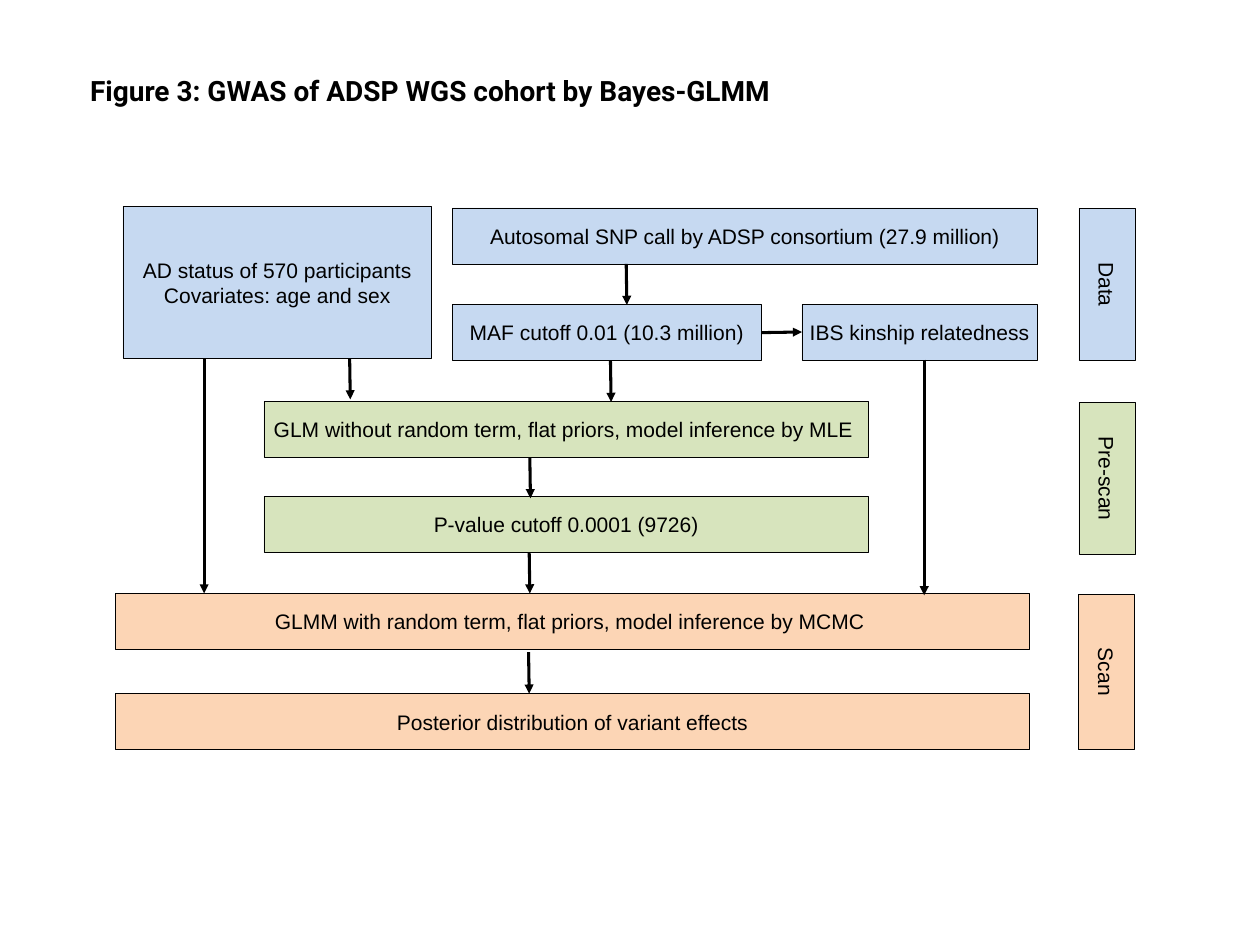
from lxml import etree
from pptx import Presentation
from pptx import util as u
from pptx.dml.color import RGBColor
from pptx.enum import shapes, text
from pptx.oxml.ns import qn

COLORS = {"data": "C6D9F1", "prescan": "D7E4BD", "scan": "FCD5B5", "ink": "000000"}
COLUMNS, ROWS = 20, 15
BAR = 0.89
LEVELS = [3.3, 4.83, 6.37, 7.88, 9.42, 11.01]

STEPS = [
    ("data", 7.18, LEVELS[0], 9.28, BAR, ["Autosomal SNP call by ADSP consortium (27.9 million)"]),
    ("data", 7.18, LEVELS[1], 4.9, BAR, ["MAF cutoff 0.01 (10.3 million)"]),
    ("data", 1.95, 3.27, 4.9, 2.42, ["AD status of 570 participants", "Covariates: age and sex"]),
    ("data", 12.73, LEVELS[1], 3.73, BAR, ["IBS kinship relatedness"]),
    ("prescan", 4.19, LEVELS[2], 9.59, BAR,
     ["GLM without random term, flat priors, model inference by MLE "]),
    ("prescan", 4.19, LEVELS[3], 9.59, BAR, ["P-value cutoff 0.0001 (9726)"]),
    ("scan", 1.83, LEVELS[4], 14.51, BAR,
     ["GLMM with random term, flat priors, model inference by MCMC "]),
    ("scan", 1.83, LEVELS[5], 14.51, BAR, ["Posterior distribution of variant effects"]),
]
ARROWS = [
    (12.08, 5.28, 12.73, 5.27),
    (9.94, 4.19, 9.95, 4.84),
    (5.55, 5.69, 5.56, 6.34),
    (9.69, 5.72, 9.7, 6.38),
    (8.41, 7.26, 8.42, 7.91),
    (3.24, 5.69, 3.24, 9.42),
    (8.4, 8.77, 8.41, 9.42),
    (14.67, 5.71, 14.67, 9.45),
    (8.39, 10.35, 8.4, 11.01),
]
STAGES = [
    ("data", 16.36, 4.07, 2.42, "Data"),
    ("prescan", 16.36, 7.15, 2.42, "Pre-scan"),
    ("scan", 16.33, 10.22, 2.47, "Scan"),
]


class FlowSlide:
    """Draws flowchart elements on one slide, placed by grid columns and rows."""

    label = {"name": "Arial", "size": u.Pt(24)}
    heading = {"name": "Roboto", "size": u.Pt(32), "bold": True}
    heading_frame = {
        "margin_left": u.Inches(0.2), "margin_right": u.Inches(0.2),
        "margin_top": u.Inches(0.1), "margin_bottom": u.Inches(0.1),
        "word_wrap": False, "auto_size": text.MSO_AUTO_SIZE.SHAPE_TO_FIT_TEXT,
    }
    label_frame = {"word_wrap": True, "vertical_anchor": text.MSO_ANCHOR.MIDDLE}

    def __init__(self, deck):
        self.column = deck.slide_width / COLUMNS
        self.row = deck.slide_height / ROWS
        self.page = deck.slides.add_slide(deck.slide_layouts[6])

    def place(self, *lengths):
        return [round(length * (self.row if i % 2 else self.column))
                for i, length in enumerate(lengths)]

    def color(self, name):
        return RGBColor.from_string(COLORS[name])

    def style(self, target, values):
        for name, value in values.items():
            setattr(target, name, value)

    def fill_text(self, frame, lines, font, layout, align):
        self.style(frame, layout)
        for i, line in enumerate(lines):
            para = frame.add_paragraph() if i else frame.paragraphs[0]
            para.alignment = align
            span = para.add_run()
            span.text = line
            self.style(span.font, font)
            span.font.color.rgb = self.color("ink")

    def title(self, left, top, width, height, line):
        box = self.page.shapes.add_textbox(*self.place(left, top, width, height))
        self.fill_text(box.text_frame, [line], self.heading, self.heading_frame,
                       text.PP_ALIGN.LEFT)

    def box(self, fill, left, top, width, height, lines, rotation=0):
        box = self.page.shapes.add_shape(
            shapes.MSO_SHAPE.RECTANGLE, *self.place(left, top, width, height))
        box.rotation = rotation
        box.shadow.inherit = False
        box.fill.solid()
        box.fill.fore_color.rgb = self.color(fill)
        box.line.color.rgb = self.color("ink")
        box.line.width = u.Pt(0.75)
        self.fill_text(box.text_frame, lines, self.label, self.label_frame,
                       text.PP_ALIGN.CENTER)

    def arrow(self, *ends):
        arrow = self.page.shapes.add_connector(
            shapes.MSO_CONNECTOR.STRAIGHT, *self.place(*ends))
        arrow.line.color.rgb = self.color("ink")
        arrow.line.width = u.Pt(3.5)
        properties = arrow.element.spPr
        etree.SubElement(properties.find(qn("a:ln")), qn("a:tailEnd"), type="triangle")
        etree.SubElement(properties, qn("a:effectLst"))


def main():
    deck = Presentation()
    deck.slide_width, deck.slide_height = u.Inches(20), u.Inches(15)
    flow = FlowSlide(deck)
    flow.title(1.23, 1.07, 12.35, 0.74, "Figure 3: GWAS of ADSP WGS cohort by Bayes-GLMM")
    for step in STEPS:
        flow.box(*step)
    for ends in ARROWS:
        flow.arrow(*ends)
    for fill, left, top, length, name in STAGES:
        flow.box(fill, left, top, length, BAR, [name], rotation=90)
    deck.save("out.pptx")


if __name__ == "__main__":
    main()
